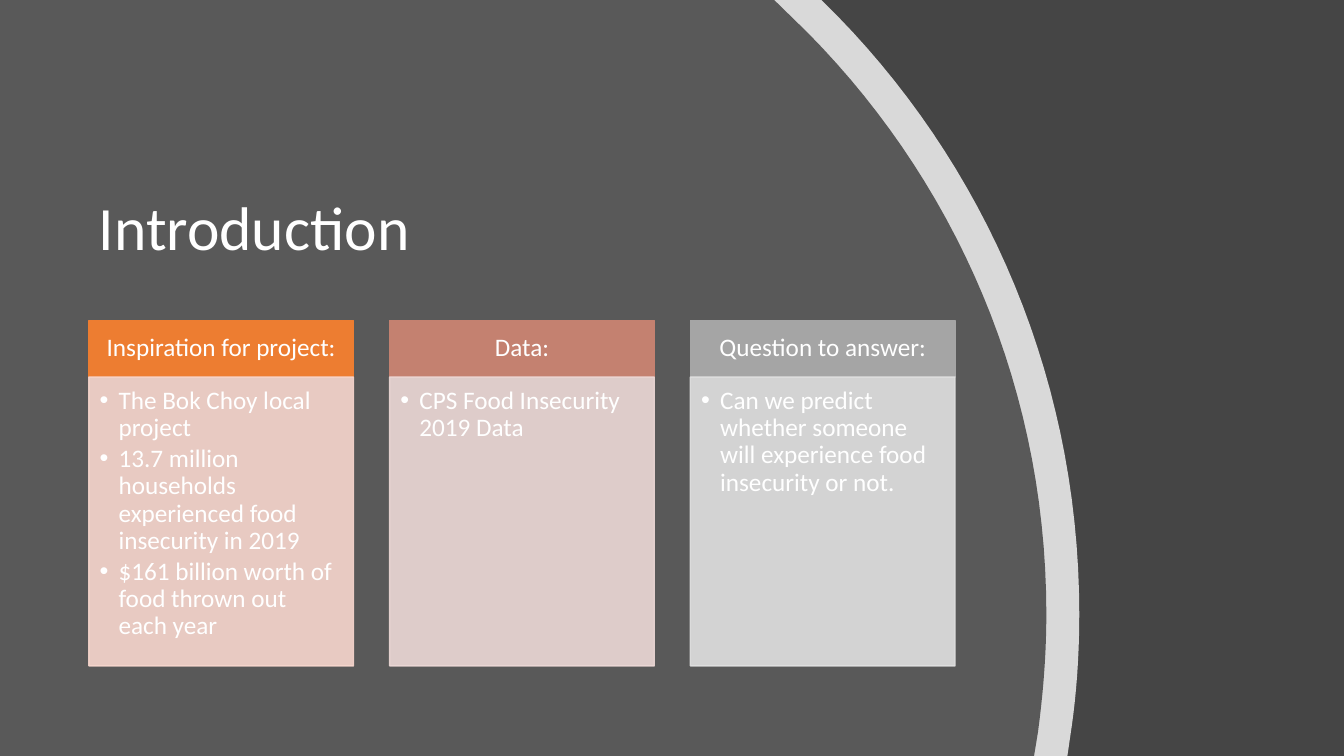
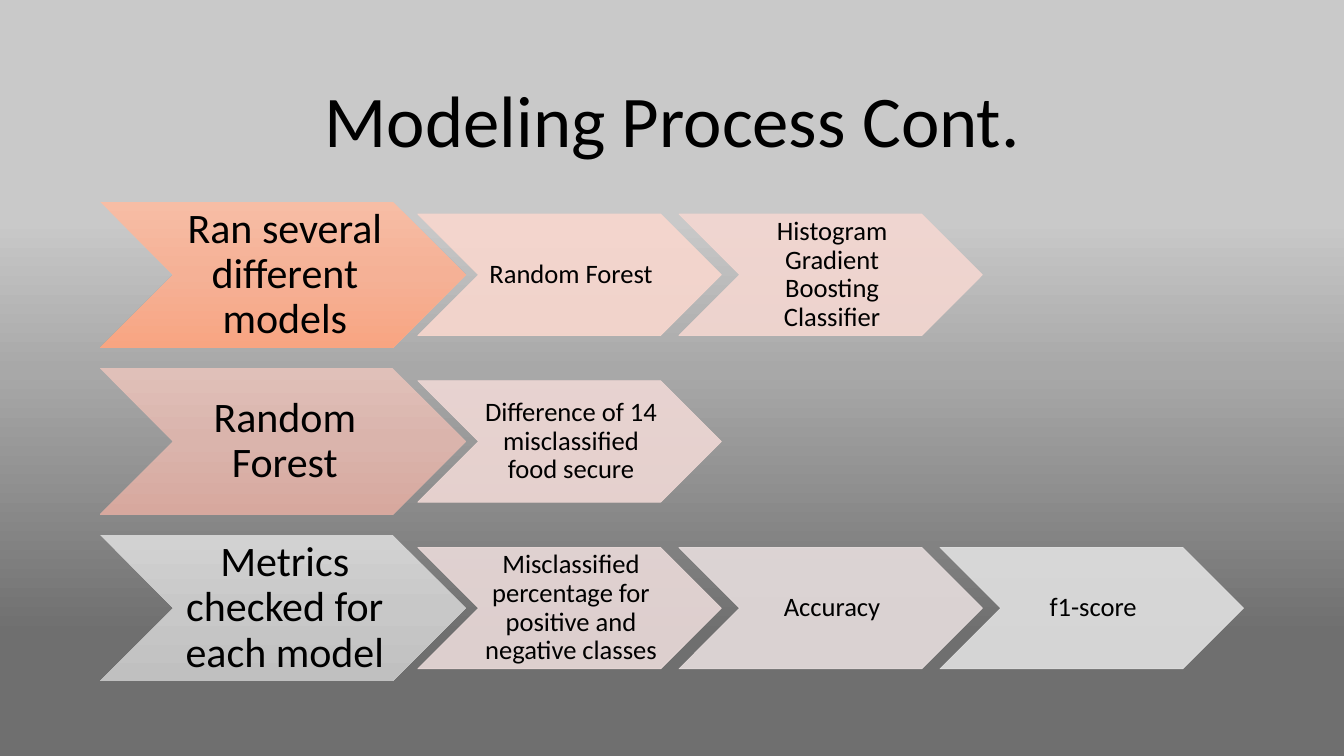
from lxml import etree
from pptx import Presentation
from pptx.dml.color import RGBColor
from pptx.enum import shapes, text
from pptx.oxml.ns import qn
from pptx.util import Cm, Pt

FONT, WHITE, BLACK = "Calibri", "FFFFFF", "000000"
DARK, PANEL = "454545", "595959"
WIDTH, HEIGHT = 33.87, 19.05

CARDS = [
    ("Inspiration for project:", "ED7D31", "F8D7CE", [
        "The Bok Choy local project",
        "13.7 million households experienced food insecurity in 2019",
        "$161 billion worth of food thrown out each year"]),
    ("Data:", "C48170", "EDD9D7", ["CPS Food Insecurity 2019 Data"]),
    ("Question to answer:", "A5A5A5", "E1E1E1", [
        "Can we predict whether someone will experience food insecurity or not."]),
]
CARD = dict(left=2.24, top=8.07, width=6.67, step=7.58, head=1.43, body=7.28)

ARCS = [
    (WHITE, 80, [(20.7, 0), (21.11, 0.41)],
     [[(24.89, 4.29), (27.2, 9.6), (27.2, 15.47)],
      [(27.2, 16.51), (27.13, 17.55), (26.97, 18.57)]], 26.9),
    (PANEL, 100, [(19.51, 0), (20.37, 0.84)],
     [[(24.08, 4.6), (26.37, 9.75), (26.37, 15.47)],
      [(26.37, 16.48), (26.29, 17.47), (26.16, 18.44)]], 26.06),
]

BACKDROP = [(16, "6F6F6F"), (51, "A8A8A8"), (71, "C9C9C9")]
PROCESS = [
    ("Ran several different models", ["F7BDA5", "F5B196", "F8A582"], [
        ("Random Forest", "F8D7CE"),
        ("Histogram Gradient Boosting Classifier", "F4D7D1")]),
    ("Random Forest", ["E0C0B9", "DAB4AC", "D7A89E"], [
        ("Difference of 14 misclassified food secure", "EFD8D5")]),
    ("Metrics checked for each model", ["D2D2D2", "C8C8C8", "C0C0C0"], [
        ("Misclassified percentage for positive and negative classes", "EADAD9"),
        ("Accuracy", "E6DDDD"),
        ("f1-score", "E1E1E1")]),
]
ROWS = dict(top=5.08, step=4.2)
MAIN = dict(left=2.52, width=9.22, height=3.69)
STEP = dict(left=10.53, width=7.65, height=3.06, step=6.58)

MIDDLE, TOP = text.MSO_ANCHOR.MIDDLE, text.MSO_ANCHOR.TOP
CENTER, LEFT = text.PP_ALIGN.CENTER, text.PP_ALIGN.LEFT


def rgb(color):
    return RGBColor.from_string(color)


def set_all(target, values):
    for name, value in values.items():
        setattr(target, name, value)


def write(s, lines, size, color, insets, align=CENTER, anchor=MIDDLE, bullet=False):
    tf = s.text_frame
    sides = ("margin_left", "margin_top", "margin_right", "margin_bottom")
    set_all(tf, dict(zip(sides, map(Cm, insets)), word_wrap=True, vertical_anchor=anchor))
    for i, line in enumerate(lines):
        p = tf.add_paragraph() if i else tf.paragraphs[0]
        set_all(p, dict(alignment=align, line_spacing=0.9))
        r = p.add_run()
        r.text = line
        set_all(r.font, dict(name=FONT, size=Pt(size)))
        r.font.color.rgb = rgb(color)
        if bullet:
            p.space_after = Pt(size * 0.15)
            pPr = p._p.get_or_add_pPr()
            pPr.set("marL", str(Cm(0.48)))
            pPr.set("indent", str(-Cm(0.48)))
            etree.SubElement(pPr, qn("a:buFont"), typeface="Arial")
            etree.SubElement(pPr, qn("a:buChar"), char="•")


def paint(s, color, line=None, opacity=100):
    s.shadow.inherit = False
    s.fill.solid()
    s.fill.fore_color.rgb = rgb(color)
    if line:
        s.line.color.rgb = rgb(color)
        s.line.width = Pt(line)
    else:
        s.line.fill.background()
    if opacity < 100:
        for clr in s.element.spPr.iter(qn("a:srgbClr")):
            etree.SubElement(clr, qn("a:alpha"), val=str(opacity * 1000))


def paint_gradient(fill, element, stops, angle):
    fill.gradient()
    fill.gradient_angle = angle
    gsLst = next(element.iter(qn("a:gsLst")))
    for gs in list(gsLst):
        gsLst.remove(gs)
    for pos, color in stops:
        gs = etree.SubElement(gsLst, qn("a:gs"), pos=str(pos * 1000))
        etree.SubElement(gs, qn("a:srgbClr"), val=color)


def add(slide, kind, *box):
    return slide.shapes.add_shape(kind, *map(Cm, box))


def add_title(slide, title, box, size, color, align):
    s = slide.shapes.add_textbox(*map(Cm, box))
    write(s, [title], size, color, (0.25, 0.13, 0.25, 0.13), align)


def bezier(a, b, c, d, steps=30):
    for i in range(1, steps + 1):
        t = i / steps
        weights = ((1 - t) ** 3, 3 * t * (1 - t) ** 2, 3 * t * t * (1 - t), t ** 3)
        yield tuple(sum(w * q[k] for w, q in zip(weights, (a, b, c, d))) for k in (0, 1))


def add_arc(slide, color, opacity, points, curves, foot):
    points = list(points)
    for curve in curves:
        points += list(bezier(points[-1], *curve))
    points += [(foot, HEIGHT), (0, HEIGHT)]
    outline = slide.shapes.build_freeform(0, 0)
    outline.add_line_segments([(Cm(x), Cm(y)) for x, y in points], close=True)
    paint(outline.convert_to_shape(), color, opacity=opacity)


def build_introduction(slide):
    slide.background.fill.solid()
    slide.background.fill.fore_color.rgb = rgb(DARK)
    for arc in ARCS:
        add_arc(slide, *arc)
    add_title(slide, "Introduction", (2.24, 4.01, 19.91, 3.58), 44, WHITE, LEFT)
    rect = shapes.MSO_SHAPE.RECTANGLE
    for i, (heading, strong, pale, lines) in enumerate(CARDS):
        x = CARD["left"] + i * CARD["step"]
        head = add(slide, rect, x, CARD["top"], CARD["width"], CARD["head"])
        paint(head, strong, 1)
        write(head, [heading], 18, WHITE, (0.36, 0.2, 0.36, 0.2))
        body = add(slide, rect, x, CARD["top"] + CARD["head"], CARD["width"], CARD["body"])
        paint(body, pale, 1, 90)
        write(body, lines, 18, WHITE, (0.27, 0.27, 0.36, 0.41), LEFT, TOP, True)


def build_process(slide):
    paint_gradient(slide.background.fill, slide.element, BACKDROP, 90)
    add_title(slide, "Modeling Process Cont.", (2.34, 1.55, 29.21, 3.15), 52, BLACK, CENTER)
    chevron = shapes.MSO_SHAPE.CHEVRON
    for i, (heading, colors, steps) in enumerate(PROCESS):
        y = ROWS["top"] + i * ROWS["step"]
        main = add(slide, chevron, MAIN["left"], y, MAIN["width"], MAIN["height"])
        paint(main, colors[0])
        paint_gradient(main.fill, main.element, zip((0, 50, 100), colors), 270)
        write(main, [heading], 30, BLACK, (0.1, 0.05, 0, 0.05))
        y += (MAIN["height"] - STEP["height"]) / 2
        for j, (label, color) in enumerate(steps):
            x = STEP["left"] + j * STEP["step"]
            s = add(slide, chevron, x, y, STEP["width"], STEP["height"])
            paint(s, color, 0.5, 90)
            write(s, [label], 19, BLACK, (0.07, 0.03, 0, 0.03))


def main():
    prs = Presentation()
    set_all(prs, dict(slide_width=Cm(WIDTH), slide_height=Cm(HEIGHT)))
    for build in (build_introduction, build_process):
        build(prs.slides.add_slide(prs.slide_layouts[6]))
    prs.save("out.pptx")


if __name__ == "__main__":
    main()
